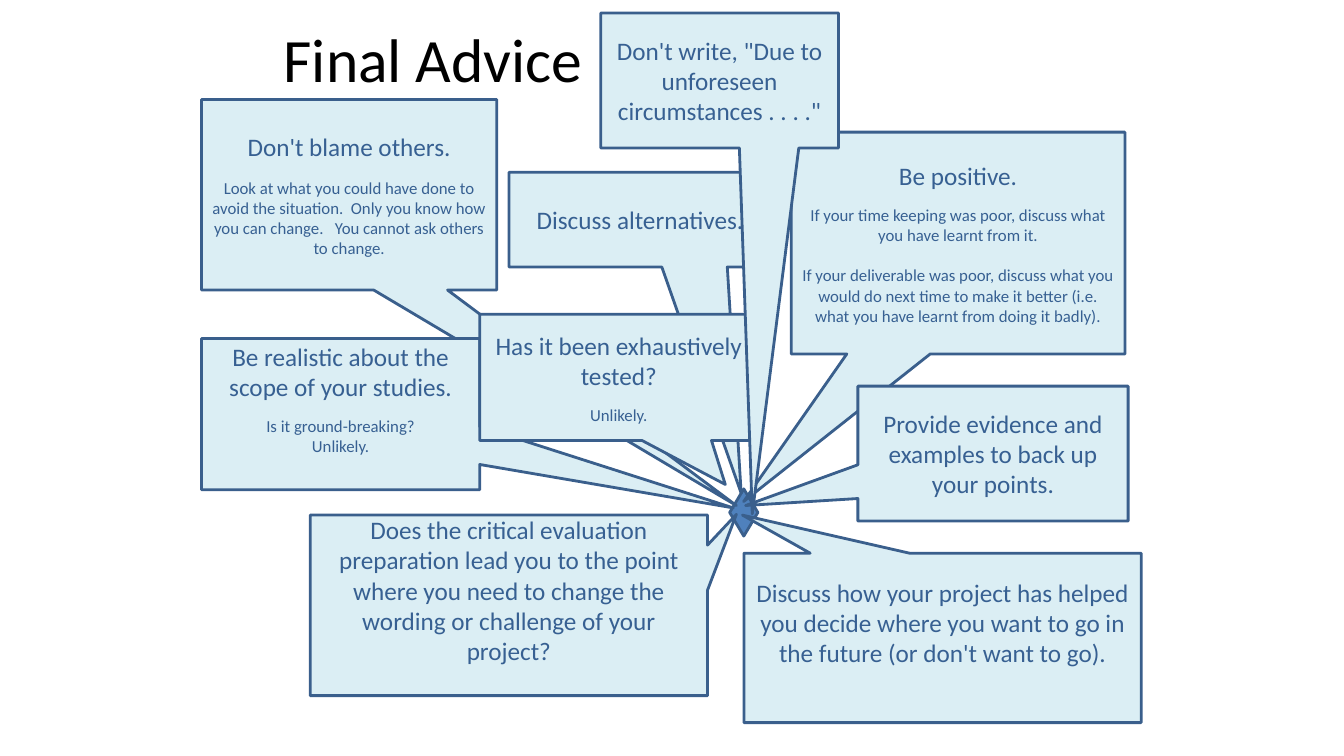
from pptx import Presentation
from pptx.dml.color import RGBColor
from pptx.enum.shapes import MSO_SHAPE
from pptx.enum.text import MSO_ANCHOR, PP_ALIGN
from pptx.util import Cm, Pt

FONT = "Calibri"
OUTLINE = "3A5F8C"
HEADING = {"size": Pt(18)}
DETAIL = {"size": Pt(12)}
DEEP_INSET = 0.9
NORMAL_INSET = 0.13

# Each callout: box, tail tip, bottom inset, paragraphs of (text, format, space before).
CALLOUTS = [
    ((5.08, 2.51, 7.44, 4.8), (18.56, 12.74), NORMAL_INSET, [
        ("Don't blame others.", HEADING, 0),
        ("Look at what you could have done to avoid the situation.  Only you know "
         "how you can change.   You cannot ask others to change.", DETAIL, 11)]),
    ((19.94, 3.33, 8.41, 5.59), (18.74, 12.64), NORMAL_INSET, [
        ("Be positive.", HEADING, 0),
        ("If your time keeping was poor, discuss what you have learnt from it.", DETAIL, 10),
        ("If your deliverable was poor, discuss what you would do next time to make it "
         "better (i.e. what you have learnt from doing it badly).", DETAIL, 14.5)]),
    ((12.83, 4.34, 6.6, 2.39), (18.68, 12.43), NORMAL_INSET, [
        ("Discuss alternatives.", HEADING, 0)]),
    ((5.08, 8.53, 7.01, 3.81), (18.48, 12.8), DEEP_INSET, [
        ("Be realistic about the scope of your studies.", HEADING, 0),
        ("Is it ground-breaking?", DETAIL, 10),
        ("Unlikely.", DETAIL, 0)]),
    ((12.09, 7.92, 7.01, 3.18), (18.28, 12.21), NORMAL_INSET, [
        ("Has it been exhaustively tested?", HEADING, 0),
        ("Unlikely.", DETAIL, 10)]),
    ((21.62, 9.73, 6.81, 3.4), (18.79, 12.74), NORMAL_INSET, [
        ("Provide evidence and examples to back up your points.", HEADING, 0)]),
    ((7.82, 12.98, 10.01, 4.55), (18.56, 12.96), DEEP_INSET, [
        ("Does the critical evaluation preparation lead you to the point where you need "
         "to change the wording or challenge of your project?", HEADING, 0)]),
    ((18.75, 13.94, 10.01, 4.27), (18.71, 12.98), DEEP_INSET, [
        ("Discuss how your project has helped you decide where you want to go in the "
         "future (or don't want to go).", HEADING, 0)]),
    ((15.14, 0.33, 5.99, 3.4), (18.96, 12.95), NORMAL_INSET, [
        ("Don't write, \"Due to unforeseen circumstances . . . .\"", HEADING, 0)]),
]


def colour(hex_code):
    """Turn a hex string into a colour."""
    return RGBColor.from_string(hex_code)


def set_attributes(target, values):
    """Set every attribute named in a dict of values."""
    for name, value in values.items():
        setattr(target, name, value)


def format_font(font, hex_code, values):
    """Apply the slide font, a colour and other values."""
    set_attributes(font, {"name": FONT, **values})
    font.color.rgb = colour(hex_code)


def add_outlined_shape(slide, kind, box, fill):
    """Add a filled preset shape with the common outline."""
    shape = slide.shapes.add_shape(kind, *map(Cm, box))
    shape.shadow.inherit = False
    shape.fill.solid()
    shape.fill.fore_color.rgb = colour(fill)
    shape.line.color.rgb = colour(OUTLINE)
    shape.line.width = Pt(2)
    return shape


def add_callout(slide, box, tip, bottom_inset, paragraphs):
    """Add a speech box whose tail ends at the tip."""
    shape = add_outlined_shape(slide, MSO_SHAPE.RECTANGULAR_CALLOUT, box, "DBEEF4")
    left, top, width, height = box
    shape.adjustments[0] = (tip[0] - left) / width - 0.5
    shape.adjustments[1] = (tip[1] - top) / height - 0.5
    frame = shape.text_frame
    set_attributes(frame, {"word_wrap": True, "vertical_anchor": MSO_ANCHOR.MIDDLE,
                           "margin_bottom": Cm(bottom_inset)})
    for index, (text, font_values, space) in enumerate(paragraphs):
        paragraph = frame.add_paragraph() if index else frame.paragraphs[0]
        set_attributes(paragraph, {"text": text, "alignment": PP_ALIGN.CENTER,
                                   "space_before": Pt(space)})
        format_font(paragraph.font, "376092", font_values)


def add_title(slide, text):
    """Place and format the title placeholder."""
    title = slide.shapes.title
    set_attributes(title, {"left": Cm(4.72), "top": Cm(0),
                           "width": Cm(12.4), "height": Cm(2.92)})
    title.text_frame.vertical_anchor = MSO_ANCHOR.MIDDLE
    paragraph = title.text_frame.paragraphs[0]
    set_attributes(paragraph, {"text": text, "alignment": PP_ALIGN.CENTER})
    format_font(paragraph.font, "000000", {"size": Pt(44)})


def main():
    """Build the slide and save it."""
    presentation = Presentation()
    set_attributes(presentation, {"slide_width": Cm(33.87), "slide_height": Cm(19.05)})
    slide = presentation.slides.add_slide(presentation.slide_layouts[5])
    add_title(slide, "Final Advice")
    add_outlined_shape(slide, MSO_SHAPE.DIAMOND, (18.39, 12.32, 0.71, 1.19), "4F81BD")
    for callout in CALLOUTS:
        add_callout(slide, *callout)
    presentation.save("out.pptx")


if __name__ == "__main__":
    main()
